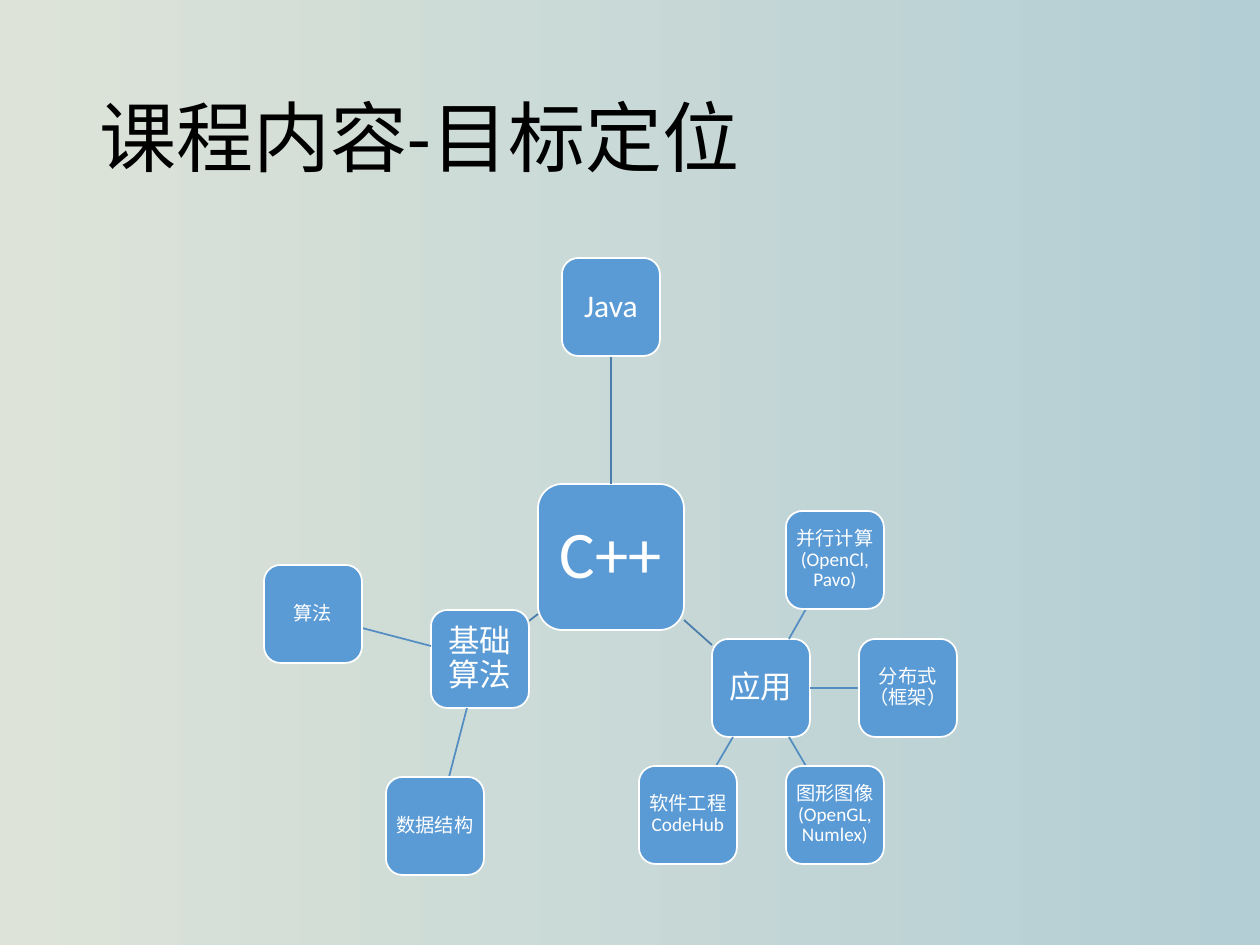
from collections import namedtuple
from math import cos, radians, sin

from lxml.etree import SubElement
from pptx import Presentation
from pptx.dml.color import RGBColor
from pptx.enum.shapes import MSO_CONNECTOR, MSO_SHAPE
from pptx.enum.text import MSO_ANCHOR, MSO_AUTO_SIZE, PP_ALIGN
from pptx.oxml.ns import qn
from pptx.util import Pt

PX = 914400 // 126
FONT = "Calibri"
BLACK = RGBColor(0x00, 0x00, 0x00)
WHITE = RGBColor(0xFF, 0xFF, 0xFF)
NODE_BLUE = RGBColor(0x5B, 0x9B, 0xD5)
BRANCH_LINE = RGBColor(0x49, 0x7C, 0xAB)
LEAF_LINE = RGBColor(0x53, 0x8D, 0xC1)
BACKGROUND = (RGBColor(0xDD, 0xE3, 0xD8), RGBColor(0xB3, 0xCE, 0xD5))

# Sizes are px, text sizes points
Style = namedtuple("Style", "side text_size inset")
ROOT = Style(146, 38, 14)
BRANCH = Style(98, 18, 6)
LEAF = Style(98, 11, 4)
Node = namedtuple("Node", "text x y style")

# Branch: text, distance and angle from its parent, leaves of the same form
BRANCHES = [
    ("Java", 250, 270, []),
    ("应用", 199, 41, [
        ("并行计算(OpenCl, Pavo)", 147, 300),
        ("分布式（框架）", 147, 0),
        ("图形图像(OpenGL, Numlex)", 147, 60),
        ("软件工程CodeHub", 147, 120),
    ]),
    ("基础算法", 166, 142, [
        ("数据结构", 173, 105),
        ("算法", 173, 195),
    ]),
]


def px(value):
    return round(value) * PX


def add_run(paragraph, text, size, color):
    run = paragraph.add_run()
    run.text = text
    run.font.name = FONT
    run.font.size = Pt(size)
    run.font.color.rgb = color


def set_background(slide):
    fill = slide.background.fill
    fill.gradient()
    fill.gradient_angle = 0
    for stop, color in zip(fill.gradient_stops, BACKGROUND):
        stop.color.rgb = color


def add_title(slide, text):
    title = slide.shapes.title
    title.left, title.top, title.width, title.height = map(px, (87, 50, 1086, 183))
    frame = title.text_frame
    frame.auto_size = MSO_AUTO_SIZE.NONE
    frame.vertical_anchor = MSO_ANCHOR.MIDDLE
    paragraph = frame.paragraphs[0]
    paragraph.alignment = PP_ALIGN.LEFT
    paragraph.line_spacing = 0.9
    add_run(paragraph, text, 44, BLACK)


def place_around(parent, text, distance, angle, style):
    turn = radians(angle)
    return Node(text, parent.x + distance * cos(turn),
                parent.y + distance * sin(turn), style)


def edge_point(node, target):
    """Return where the line towards the target leaves the node's square."""
    dx, dy = target.x - node.x, target.y - node.y
    ratio = node.style.side / 2 / max(abs(dx), abs(dy))
    return px(node.x + dx * ratio), px(node.y + dy * ratio)


def add_link(slide, parent, child, color):
    connector = slide.shapes.add_connector(
        MSO_CONNECTOR.STRAIGHT, *edge_point(parent, child), *edge_point(child, parent))
    connector.line.color.rgb = color
    connector.line.width = Pt(1)
    SubElement(connector._element.spPr, qn("a:effectLst"))


def add_node(slide, node):
    side, text_size, inset = node.style
    shape = slide.shapes.add_shape(
        MSO_SHAPE.ROUNDED_RECTANGLE,
        px(node.x - side / 2), px(node.y - side / 2), px(side), px(side))
    shape.shadow.inherit = False
    shape.fill.solid()
    shape.fill.fore_color.rgb = NODE_BLUE
    shape.line.color.rgb = WHITE
    shape.line.width = Pt(1)
    frame = shape.text_frame
    frame.word_wrap = True
    frame.vertical_anchor = MSO_ANCHOR.MIDDLE
    frame.margin_left = frame.margin_right = px(inset)
    frame.margin_top = frame.margin_bottom = px(inset)
    paragraph = frame.paragraphs[0]
    paragraph.alignment = PP_ALIGN.CENTER
    paragraph.line_spacing = 0.9
    add_run(paragraph, node.text, text_size, WHITE)


def add_mind_map(slide):
    root = Node("C++", 611, 557, ROOT)
    add_node(slide, root)
    for text, distance, angle, leaves in BRANCHES:
        branch = place_around(root, text, distance, angle, BRANCH)
        add_link(slide, root, branch, BRANCH_LINE)
        add_node(slide, branch)
        for leaf_values in leaves:
            leaf = place_around(branch, *leaf_values, LEAF)
            add_link(slide, branch, leaf, LEAF_LINE)
            add_node(slide, leaf)


def main():
    presentation = Presentation()
    presentation.slide_width = px(1260)
    presentation.slide_height = px(945)
    slide = presentation.slides.add_slide(presentation.slide_layouts[5])
    set_background(slide)
    add_title(slide, "课程内容-目标定位")
    add_mind_map(slide)
    presentation.save("out.pptx")


if __name__ == "__main__":
    main()
